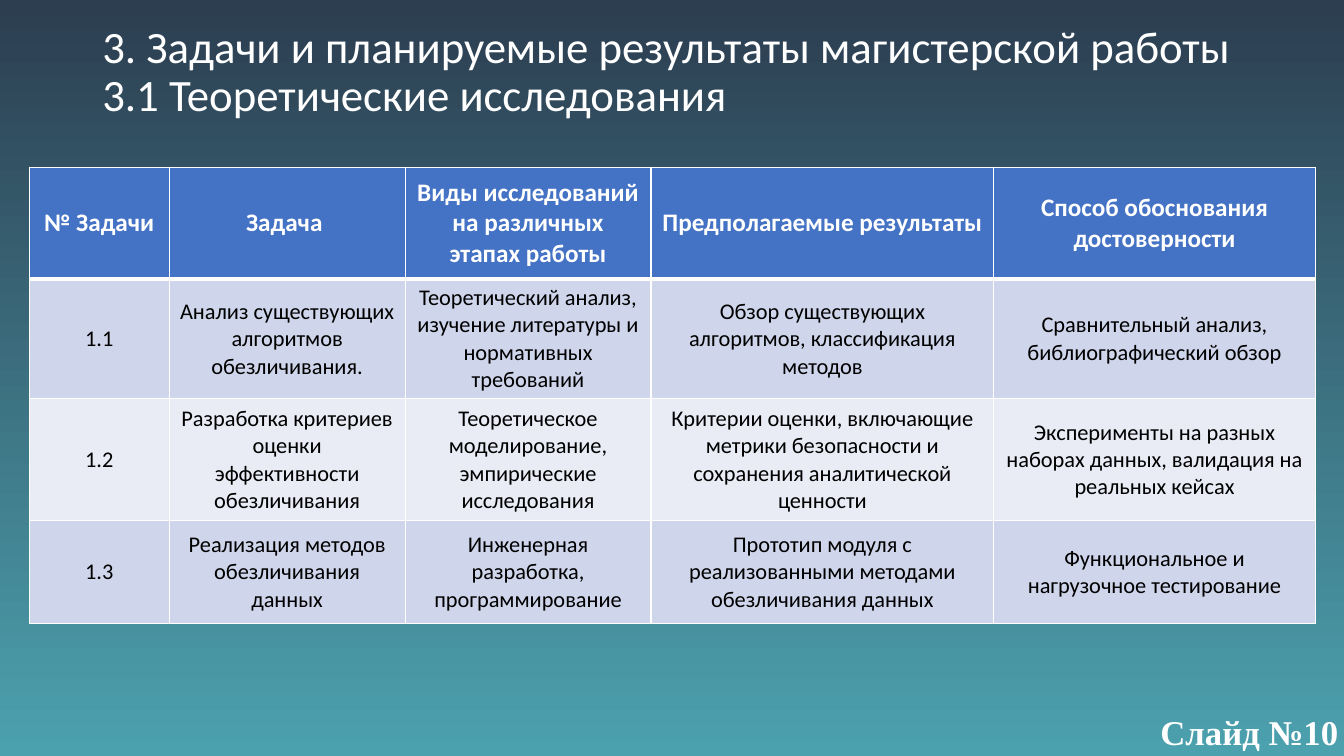
from dataclasses import dataclass

from pptx import Presentation
from pptx.dml.color import RGBColor as Rgb
from pptx.enum.text import MSO_ANCHOR as Anchor, PP_ALIGN as Align
from pptx.oxml import parse_xml
from pptx.oxml.ns import nsdecls
from pptx.util import Pt

HUES = {
    "top": "2C3E50",
    "base": "4CA1AF",
    "white": "FFFFFF",
    "black": "000000",
    "head": "4472C4",
    "odd": "CFD5EA",
    "even": "E9EBF5",
}


@dataclass(frozen=True)
class Style:
    size: float
    hue: str
    bold: bool = False
    font: str = "Calibri"
    align: Align = Align.CENTER
    pitch: float = 1.0


@dataclass(frozen=True)
class Label:
    box: tuple[float, float, float, float]
    lines: tuple[str, ...]
    style: Style
    anchor: Anchor


HEAD = Style(18, "white", bold=True)
BODY = Style(16, "black")

LABELS = (
    Label((66, 0, 828, 104.4),
          ("3. Задачи и планируемые результаты магистерской работы",
           "3.1 Теоретические исследования"),
          Style(32, "white", align=Align.LEFT, pitch=0.9), Anchor.MIDDLE),
    Label((816.5, 487.5, 152, 52.5), ("Слайд №10",),
          Style(24.8, "white", True, "Times New Roman", pitch=0.7),
          Anchor.BOTTOM),
)

COLS = (100, 168.5, 175.7, 244.8, 229.7)
ROWS = (79.9, 85.3, 87.1, 73.6)
CELLS = (
    ("№ Задачи", "Задача ", "Виды исследований на различных этапах работы",
     "Предполагаемые результаты", "Способ обоснования достоверности"),
    ("1.1", "Анализ существующих алгоритмов обезличивания.",
     "Теоретический анализ, изучение литературы и нормативных требований",
     "Обзор существующих алгоритмов, классификация методов",
     "Сравнительный анализ, библиографический обзор"),
    ("1.2", "Разработка критериев оценки эффективности обезличивания",
     "Теоретическое моделирование, эмпирические исследования",
     "Критерии оценки, включающие метрики безопасности и сохранения "
     "аналитической ценности",
     "Эксперименты на разных наборах данных, валидация на реальных кейсах"),
    ("1.3", "Реализация методов обезличивания данных",
     "Инженерная разработка, программирование",
     "Прототип модуля с реализованными методами обезличивания данных",
     "Функциональное и нагрузочное тестирование"),
)


def tint(name: str) -> Rgb:
    return Rgb.from_string(HUES[name])


def write(frame, lines: tuple[str, ...], style: Style) -> None:
    para = frame.paragraphs[0]
    para.alignment = style.align
    para.line_spacing = style.pitch
    for i, line in enumerate(lines):
        if i:
            para.add_line_break()
        run = para.add_run()
        run.text = line
        run.font.name = style.font
        run.font.size = Pt(style.size)
        run.font.bold = style.bold
        run.font.color.rgb = tint(style.hue)


def edge(cell, top: float, base: float) -> None:
    props = cell._tc.get_or_add_tcPr()
    for i, (side, width) in enumerate(
            (("L", 1), ("R", 1), ("T", top), ("B", base))):
        props.insert(i, parse_xml(
            f'<a:ln{side} {nsdecls("a")} w="{Pt(width)}"><a:solidFill>'
            f'<a:srgbClr val="{HUES["white"]}"/></a:solidFill></a:ln{side}>'))


def add_label(slide, label: Label) -> None:
    box = slide.shapes.add_textbox(*map(Pt, label.box))
    frame = box.text_frame
    frame.word_wrap = True
    frame.vertical_anchor = label.anchor
    write(frame, label.lines, label.style)


def add_grid(slide) -> None:
    table = slide.shapes.add_table(
        len(ROWS), len(COLS), Pt(20.9), Pt(119.5),
        Pt(sum(COLS)), Pt(sum(ROWS))).table
    for col, width in zip(table.columns, COLS):
        col.width = Pt(width)
    for r, (row, high) in enumerate(zip(table.rows, ROWS)):
        row.height = Pt(high)
        hue = "head" if r == 0 else "odd" if r % 2 else "even"
        for cell, text in zip(row.cells, CELLS[r]):
            cell.vertical_anchor = Anchor.MIDDLE
            cell.fill.solid()
            cell.fill.fore_color.rgb = tint(hue)
            edge(cell, 3 if r == 1 else 1, 3 if r == 0 else 1)
            write(cell.text_frame, (text,), BODY if r else HEAD)


def main() -> None:
    deck = Presentation()
    deck.slide_width, deck.slide_height = Pt(960), Pt(540)
    slide = deck.slides.add_slide(deck.slide_layouts[6])

    # Background, dark at the top
    fill = slide.background.fill
    fill.gradient()
    fill.gradient_angle = 270
    for stop, hue in zip(fill.gradient_stops, ("top", "base")):
        stop.color.rgb = tint(hue)

    # Task table, then title and slide number
    add_grid(slide)
    for label in LABELS:
        add_label(slide, label)

    deck.save("out.pptx")


if __name__ == "__main__":
    main()
